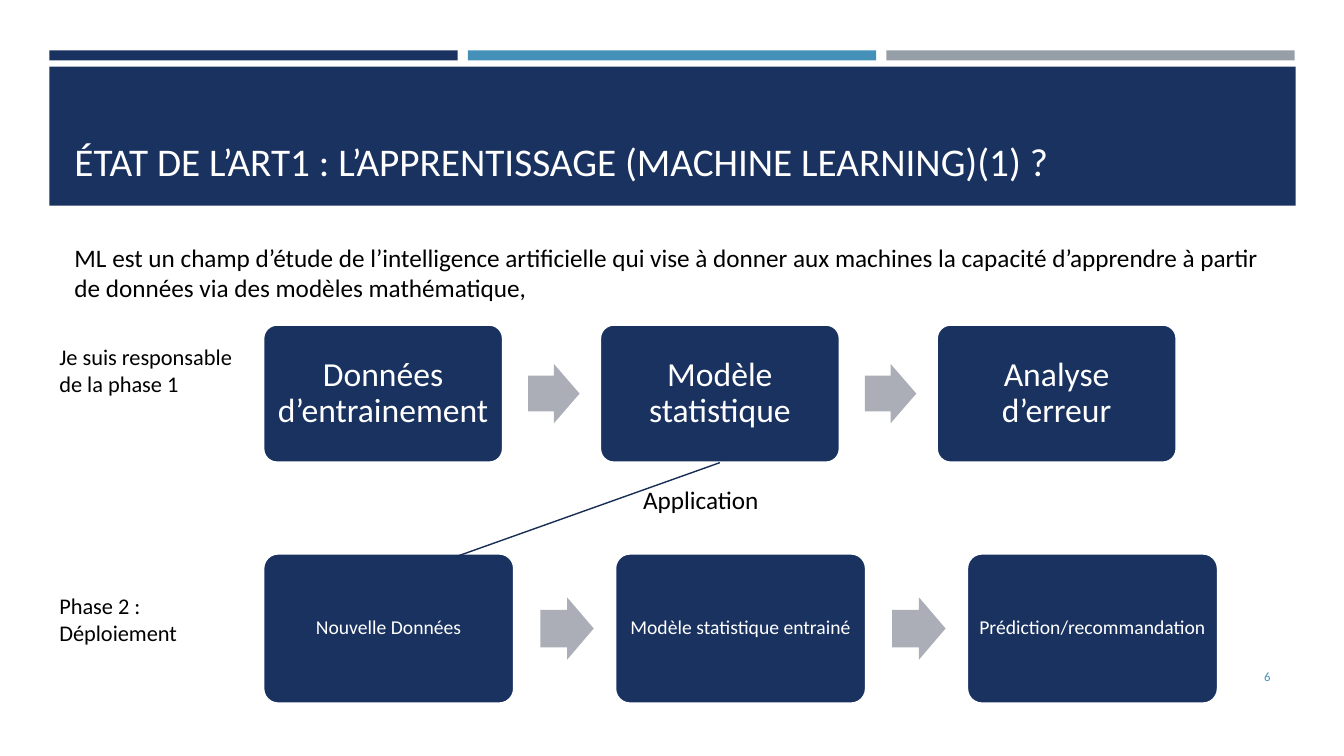
from lxml.etree import SubElement
from pptx import Presentation
from pptx.dml.color import RGBColor
from pptx.enum.shapes import MSO_CONNECTOR, MSO_SHAPE
from pptx.enum.text import MSO_ANCHOR as Anchor, PP_ALIGN as Align
from pptx.oxml.ns import qn
from pptx.util import Inches, Pt

NAVY = RGBColor(0x1A, 0x32, 0x60)
DARK_NAVY = RGBColor(0x17, 0x2D, 0x56)
BLUE = RGBColor(0x45, 0x90, 0xB8)
GREY = RGBColor(0x96, 0x9F, 0xA7)
ARROW_GREY = RGBColor(0xAC, 0xAE, 0xB7)
WHITE = RGBColor(0xFF, 0xFF, 0xFF)
BLACK = RGBColor(0x00, 0x00, 0x00)


class PhaseSlide:
    font = "Calibri"

    def __init__(self, slide):
        self.shapes = slide.shapes

    def set_words(self, shape, words, size, color, align=Align.LEFT, anchor=Anchor.TOP):
        frame = shape.text_frame
        frame.word_wrap = True
        frame.vertical_anchor = anchor
        paragraph = frame.paragraphs[0]
        paragraph.text = words
        paragraph.alignment = align
        font = paragraph.runs[0].font
        font.name, font.size, font.color.rgb = self.font, Pt(size), color
        return frame

    def label(self, box, words, size, color=BLACK, **layout):
        return self.set_words(self.shapes.add_textbox(*map(Inches, box)), words, size, color, **layout)

    def block(self, kind, box, fill):
        shape = self.shapes.add_shape(kind, *map(Inches, box))
        shape.shadow.inherit = False
        shape.fill.solid()
        shape.fill.fore_color.rgb = fill
        shape.line.fill.background()
        return shape

    def step(self, box, words, size, inset):
        card = self.block(MSO_SHAPE.ROUNDED_RECTANGLE, box, NAVY)
        card.adjustments[0] = 0.1
        card.line.color.rgb = WHITE
        card.line.width = Pt(1.75)
        frame = self.set_words(card, words, size, WHITE, Align.CENTER, Anchor.MIDDLE)
        frame.margin_left = frame.margin_right = Inches(inset)
        frame.margin_top = frame.margin_bottom = Inches(inset)
        frame.paragraphs[0].line_spacing = 0.9
        return card

    def arrow(self, box):
        arrow = self.block(MSO_SHAPE.RIGHT_ARROW, box, ARROW_GREY)
        arrow.adjustments[0] = 0.6
        arrow.adjustments[1] = 0.5

    def process(self, steps, top, width, height, pitch, arrow_width, arrow_height, size, inset):
        left = 2.61
        arrow_offset = width + 0.1 * width + 0.01
        arrow_top = top + (height - arrow_height) / 2
        cards = []
        for index, words in enumerate(steps):
            x = left + index * pitch
            cards.append(self.step((x, top, width, height), words, size, inset))
            if index < len(steps) - 1:
                self.arrow((x + arrow_offset, arrow_top, arrow_width, arrow_height))
        return cards

    def link(self, source, side, end):
        x, y = map(Inches, end)
        line = self.shapes.add_connector(MSO_CONNECTOR.STRAIGHT, x, y, x, y)
        line.begin_connect(source, side)
        line.line.color.rgb = DARK_NAVY
        line.line.width = Pt(1)
        SubElement(line._element.spPr, qn("a:effectLst"))


def main():
    deck = Presentation()
    deck.slide_width, deck.slide_height = Inches(13.33), Inches(7.5)
    page = PhaseSlide(deck.slides.add_slide(deck.slide_layouts[6]))

    for index, color in enumerate((NAVY, BLUE, GREY)):
        page.block(MSO_SHAPE.RECTANGLE, (0.49 + index * 4.15, 0.5, 4.05, 0.1), color)
    page.block(MSO_SHAPE.RECTANGLE, (0.49, 0.66, 12.36, 1.38), NAVY)
    page.label((0.64, 0.8, 12.06, 1.08),
               "ÉTAT DE L’ART1 : L’APPRENTISSAGE (MACHINE LEARNING)(1) ?",
               28, WHITE, anchor=Anchor.BOTTOM)
    page.label((0.64, 2.35, 12.15, 0.71),
               "ML est un champ d’étude de l’intelligence artificielle qui vise à donner aux "
               "machines la capacité d’apprendre à partir de données via des modèles "
               "mathématique,", 18)

    training = page.process(
        ("Données d’entrainement", "Modèle statistique", "Analyse d’erreur"),
        top=3.22, width=2.38, height=1.37, pitch=3.34,
        arrow_width=0.51, arrow_height=0.59, size=24, inset=0.1)
    page.process(
        ("Nouvelle Données", "Modèle statistique entrainé", "Prédiction/recommandation"),
        top=5.49, width=2.49, height=1.49, pitch=3.49,
        arrow_width=0.53, arrow_height=0.62, size=14, inset=0.06)
    page.link(training[1], 2, (4.53, 5.52))

    page.label((0.49, 3.36, 1.93, 0.64), "Je suis responsable de la phase 1", 16)
    page.label((0.49, 5.83, 1.93, 0.64), "Phase 2 : Déploiement", 16)
    page.label((6.28, 4.76, 1.36, 0.4), "Application", 18).word_wrap = False
    page.label((11.55, 6.51, 1.15, 0.4), "6", 9, BLUE, align=Align.RIGHT, anchor=Anchor.MIDDLE)

    deck.save("out.pptx")


if __name__ == "__main__":
    main()
